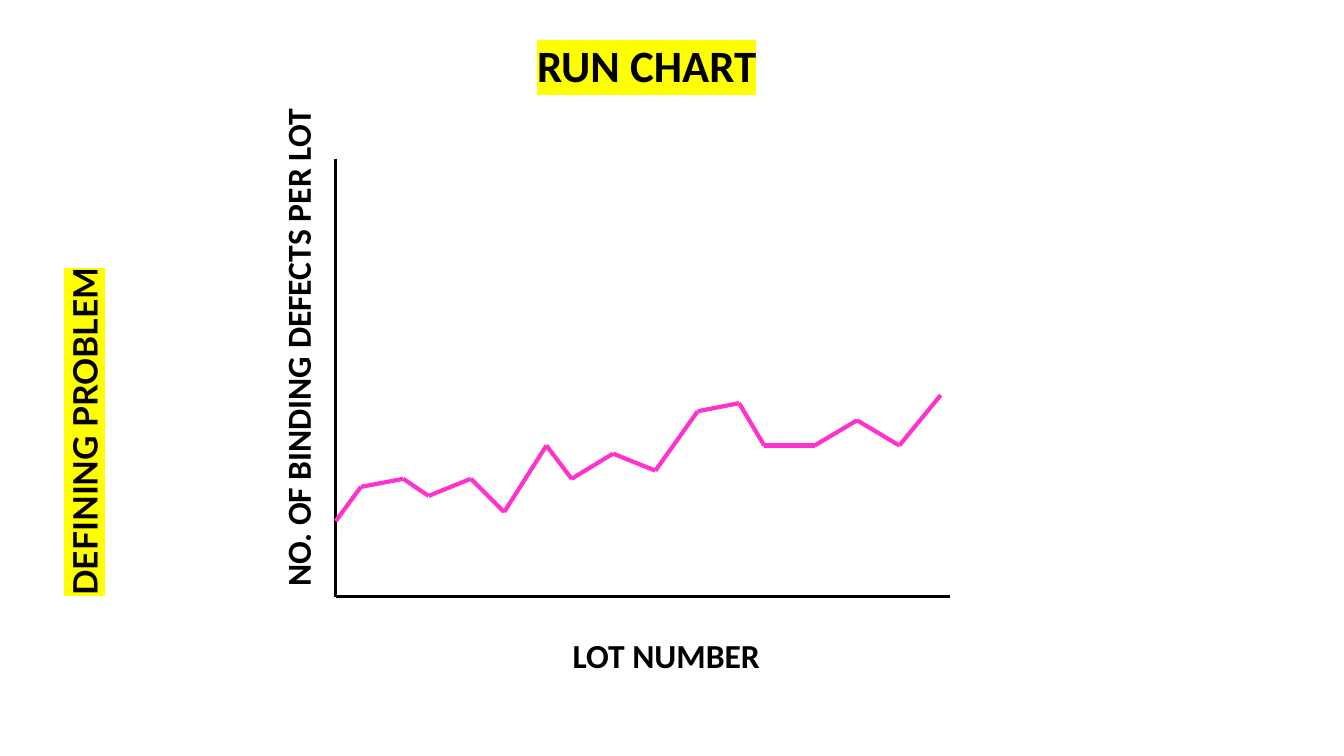
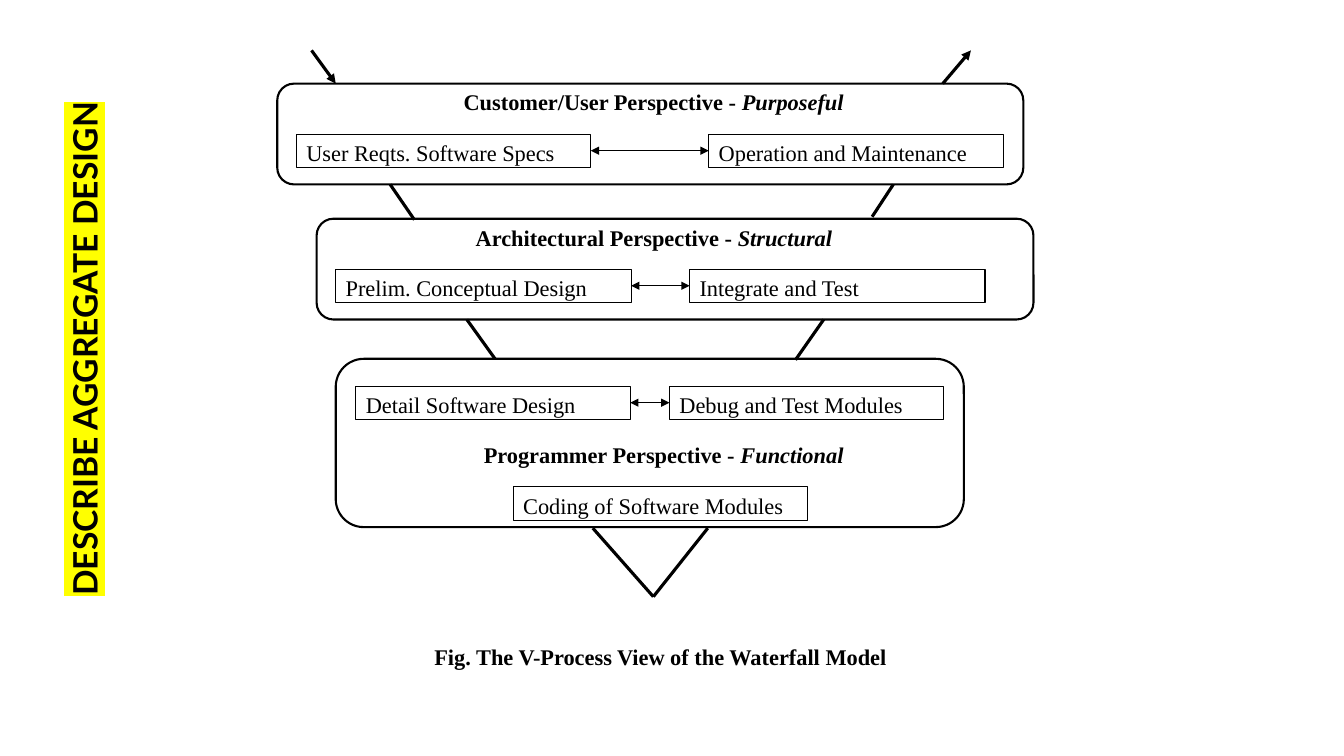
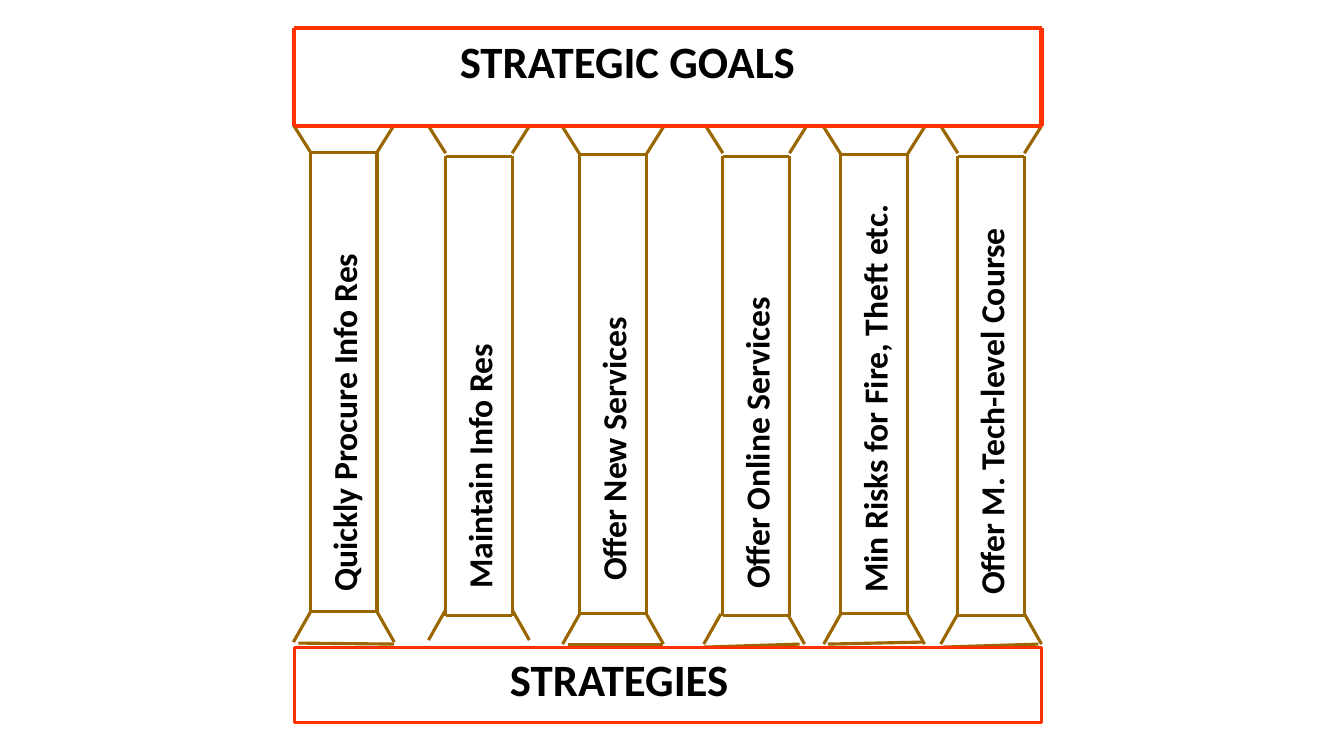
from itertools import pairwise

from pptx import Presentation
from pptx.dml.color import RGBColor
from pptx.enum.shapes import MSO_CONNECTOR, MSO_SHAPE
from pptx.enum.text import MSO_ANCHOR, MSO_AUTO_SIZE, PP_ALIGN
from pptx.oxml.ns import qn
from pptx.util import Inches, Pt
from lxml.etree import SubElement

BLACK = "000000"
YELLOW = "FFFF00"
PINK = "FF33CC"
RED = "FF3300"
BROWN = "996600"
SANS = "Calibri"
SIDE_FONT = "Lato"
SERIF = "Times New Roman"


def rgb(value):
    return RGBColor.from_string(value)


def write(frame, text, italic_end="", font=SANS, size=24, bold=True,
          align=PP_ALIGN.LEFT, highlight=None):
    frame.word_wrap = True
    frame.auto_size = MSO_AUTO_SIZE.NONE
    frame.vertical_anchor = MSO_ANCHOR.TOP
    paragraph = frame.paragraphs[0]
    paragraph.alignment = align
    for words, italic in ((text, False), (italic_end, True)):
        if not words:
            continue
        run = paragraph.add_run()
        run.text = words
        run.font.name = font
        run.font.size = Pt(size)
        run.font.bold = bold
        run.font.italic = italic
        run.font.color.rgb = rgb(BLACK)
        if highlight:
            properties = run.font._element
            marker = SubElement(properties, qn("a:highlight"))
            SubElement(marker, qn("a:srgbClr")).set("val", highlight)
            properties.find(qn("a:latin")).addprevious(marker)


class Deck:
    def __init__(self):
        self.deck = Presentation()
        self.deck.slide_width = Inches(13.33)
        self.deck.slide_height = Inches(7.5)
        self.slide = None

    def new_slide(self, title, left, top, width, height, rotation=0, **style):
        self.slide = self.deck.slides.add_slide(self.deck.slide_layouts[5])
        heading = self.slide.shapes.title
        heading.left, heading.top = Inches(left), Inches(top)
        heading.width, heading.height = Inches(width), Inches(height)
        heading.rotation = rotation
        write(heading.text_frame, title, **style)

    def side_title_slide(self, title):
        center, middle, length, height = 0.89, 3.33, 5.36, 0.61
        self.new_slide(title, center - length / 2, middle - height / 2, length, height,
                       rotation=270, font=SIDE_FONT, highlight=YELLOW)

    def label(self, text, left, top, width, height, **style):
        box = self.slide.shapes.add_textbox(
            Inches(left), Inches(top), Inches(width), Inches(height))
        write(box.text_frame, text, **style)
        return box

    def upward_label(self, text, center, bottom, length):
        height = 0.5
        box = self.label(text, center - length / 2, bottom - (length + height) / 2,
                         length, height)
        box.rotation = 270

    def outline(self, left, top, width, height, weight=0.75, preset=MSO_SHAPE.RECTANGLE):
        frame = self.slide.shapes.add_shape(
            preset, Inches(left), Inches(top), Inches(width), Inches(height))
        frame.shadow.inherit = False
        frame.fill.background()
        frame.line.color.rgb = rgb(BLACK)
        frame.line.width = Pt(weight)
        return frame

    def line(self, start, end, color=BLACK, weight=2.25, arrows=()):
        link = self.slide.shapes.add_connector(
            MSO_CONNECTOR.STRAIGHT, *(Inches(value) for value in start + end))
        link.line.color.rgb = rgb(color)
        link.line.width = Pt(weight)
        for arrow in arrows:
            SubElement(link.line._get_or_add_ln(), qn(f"a:{arrow}")).set("type", "triangle")
        SubElement(link._element.spPr, qn("a:effectLst"))

    def polyline(self, points, color=BLACK, weight=2.25):
        for start, end in pairwise(points):
            self.line(start, end, color, weight)

    def four_sides(self, left, top, width, height, color, weight=2.25):
        right, bottom = left + width, top + height
        for y in (top, bottom):
            self.line((left, y), (right, y), color, weight)
        for x in (left, right):
            self.line((x, top), (x, bottom), color, weight)


def run_chart(deck):
    deck.side_title_slide("DEFINING PROBLEM")
    deck.label("RUN CHART", 4.75, 0.33, 3.33, 0.64, size=32,
               align=PP_ALIGN.CENTER, highlight=YELLOW)
    deck.upward_label("NO. OF BINDING DEFECTS PER LOT", 2.95, 5.92, 5.67)
    deck.label("LOT NUMBER", 5.58, 6.25, 2.58, 0.5)
    deck.polyline([(3.33, 1.58), (3.33, 5.92), (9.42, 5.92)])
    defects = [
        (3.33, 5.17), (3.58, 4.83), (4, 4.75), (4.25, 4.92), (4.67, 4.75),
        (5, 5.08), (5.42, 4.42), (5.67, 4.75), (6.08, 4.5), (6.5, 4.67),
        (6.92, 4.08), (7.33, 4), (7.58, 4.42), (8.08, 4.42), (8.5, 4.17),
        (8.92, 4.42), (9.33, 3.92),
    ]
    deck.polyline(defects, PINK, 3)


def v_process(deck):
    deck.side_title_slide("DESCRIBE AGGREGATE DESIGN")
    step_height = 0.33

    def step(text, left, top, width):
        box = deck.outline(left, top, width, step_height)
        write(box.text_frame, text, font=SERIF, size=16, bold=False)

    tiers = [
        ((2.75, 0.83, 7.4, 1), "Customer/User Perspective - ", "Purposeful", (4.5, 0.83),
         1.33, 2.92, ("User Reqts. Software Specs", 2.94), ("Operation and Maintenance", 7.03)),
        ((3.14, 2.17, 7.11, 1), "Architectural Perspective - ", "Structural", (4.62, 2.17),
         2.67, 2.93, ("Prelim. Conceptual Design", 3.33), ("Integrate and Test", 6.84)),
        ((3.33, 3.56, 6.23, 1.67), "Programmer Perspective - ", "Functional", (4.7, 4.33),
         3.83, 2.72, ("Detail Software Design", 3.53), ("Debug and Test Modules", 6.64)),
    ]
    for frame, perspective, quality, place, top, width, design, check in tiers:
        deck.outline(*frame, weight=1.5, preset=MSO_SHAPE.ROUNDED_RECTANGLE)
        deck.label(perspective, *place, 4.1, step_height, italic_end=quality,
                   font=SERIF, size=16)
        for text, left in (design, check):
            step(text, left, top, width)
        middle = top + step_height / 2
        deck.line((design[1] + width, middle), (check[1], middle), weight=1,
                  arrows=("headEnd", "tailEnd"))
    step("Coding of Software Modules", 5.09, 4.83, 2.92)

    arrow = ("tailEnd",)
    v_legs = [
        ((3.09, 0.5), (3.33, 0.83), arrow), ((9.35, 0.83), (9.63, 0.5), arrow),
        ((3.87, 1.83), (4.11, 2.18), ()), ((8.86, 1.83), (8.65, 2.15), ()),
        ((4.63, 3.17), (4.91, 3.56), ()), ((8.17, 3.17), (7.89, 3.57), ()),
        ((5.88, 5.24), (6.48, 5.92), ()), ((7.02, 5.24), (6.48, 5.92), ()),
    ]
    for start, end, arrows in v_legs:
        deck.line(start, end, arrows=arrows)
    deck.label("Fig. The V-Process View of the Waterfall Model", 4.21, 6.33, 5.09, 0.5,
               font=SERIF, size=16)


def strategy_temple(deck):
    deck.new_slide("STRATEGIC GOALS", 4.46, 0.28, 4.63, 0.63, size=32)
    deck.label("STRATEGIES", 4.96, 6.42, 3.37, 0.63, size=32)
    shaft_width, shaft_height, flare, base_width = 0.66, 4.56, 0.17, 0.95
    pillars = [
        ("Quickly Procure Info Res", 5.97, 3.08, 1.51, 1.24, 6.07, 0, (-0.12, 6.38, 6.39)),
        ("Maintain Info Res", 5.94, 4.42, 1.55, 1.25, 6.05, 0, None),
        ("Offer New Services", 5.86, 5.75, 1.53, 1.26, 6.09, 0, (-0.12, 6.39, 6.39)),
        ("Offer Online Services", 5.94, 7.17, 1.55, 1.25, 6.09, -0.02, (-0.19, 6.42, 6.39)),
        ("Min Risks for Fire, Theft etc.", 5.98, 8.34, 1.53, 1.26, 6.09, 0, (-0.13, 6.39, 6.37)),
        ("Offer M. Tech-level Course", 6, 9.5, 1.55, 1.25, 6.09, 0, (-0.15, 6.42, 6.39)),
    ]
    for strategy, text_bottom, left, top, capital_top, foot_top, foot_shift, base in pillars:
        deck.four_sides(left, top, shaft_width, shaft_height, BROWN)
        for edge, spread in ((left, -flare), (left + shaft_width, flare)):
            deck.line((edge + spread, capital_top), (edge, capital_top + 0.27), BROWN)
            foot = edge + foot_shift
            deck.line((foot, foot_top), (foot + spread, foot_top + 0.3), BROWN)
        if base:
            offset, left_y, right_y = base
            deck.line((left + offset, left_y), (left + offset + base_width, right_y), BROWN)
        deck.upward_label(strategy, left + shaft_width / 2, text_bottom, 4.5)
    for top, height, weight in ((0.28, 0.97, 3), (6.42, 0.75, 2.25)):
        deck.four_sides(2.92, top, 7.41, height, RED, weight)


def main():
    deck = Deck()
    run_chart(deck)
    v_process(deck)
    strategy_temple(deck)
    deck.deck.save("out.pptx")


if __name__ == "__main__":
    main()
